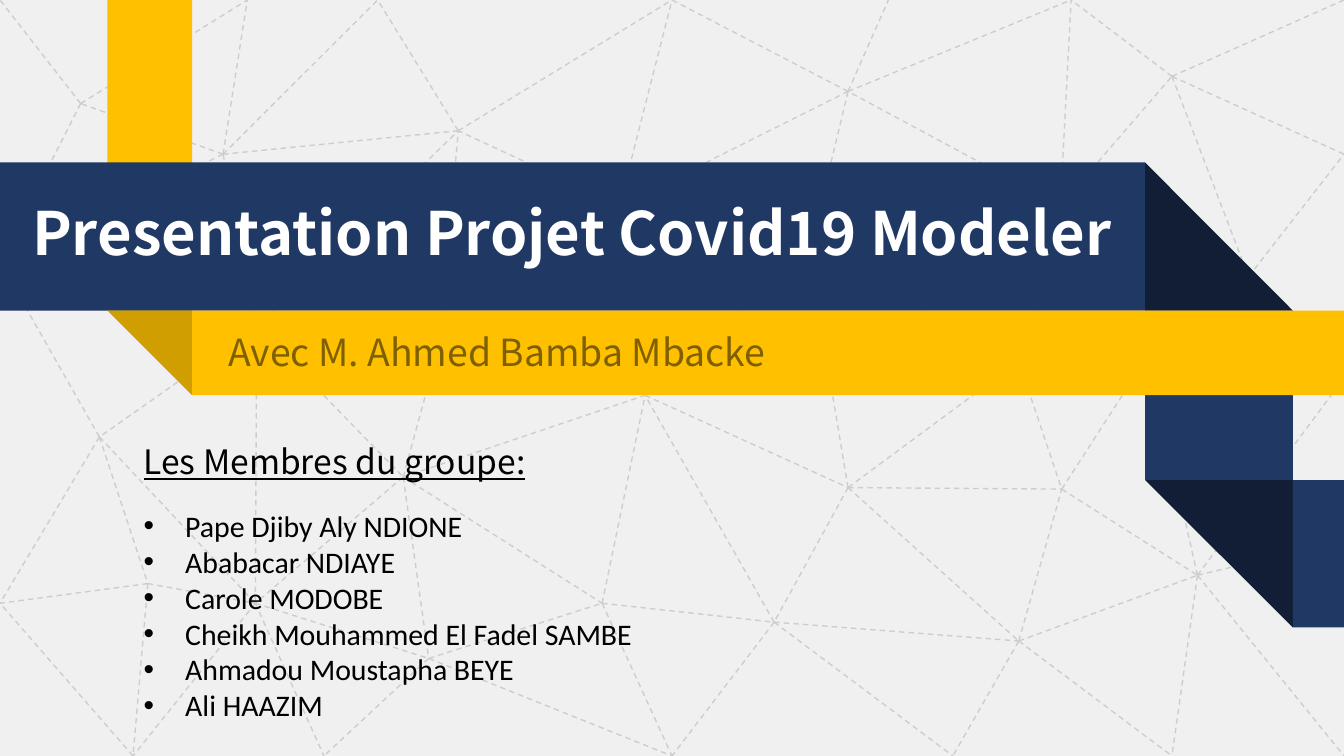
from pptx import Presentation
from pptx import util as u
from pptx.dml.color import RGBColor
from pptx.enum import dml, shapes, text
from lxml import etree

THEME = {
    "paper": "F0F0F0", "mesh": "CDCDCD", "navy": "203864", "navy_fold": "111E35",
    "gold": "FFC000", "gold_fold": "D09E00", "white": "FFFFFF", "brown": "7F6000",
    "black": "000000", "heading_font": "Noto Sans CJK SC", "body_font": "Calibri",
    "title": 32, "subtitle": 20, "heading": 18, "body": 16, "mesh_width": 0.75,
}
WIDTH, HEIGHT = u.Inches(10), u.Inches(5.625)

MEMBERS = ["Pape Djiby Aly NDIONE", "Ababacar NDIAYE", "Carole MODOBE",
           "Cheikh Mouhammed El Fadel SAMBE", "Ahmadou Moustapha BEYE", "Ali HAAZIM"]

# lines, box in percent of the slide, font, size, colour, bold, underline, wrap, bullets
TEXTS = [
    (["Presentation Projet Covid19 Modeler"], (1.4, 25, 83.5, 11.4),
     "heading_font", "title", "white", True, False, False, False),
    (["Avec M. Ahmed Bamba Mbacke"], (16, 42.7, 43.1, 7.8),
     "heading_font", "subtitle", "brown", False, False, False, False),
    (["Les Membres du groupe:"], (9.7, 57.4, 32.8, 7.1),
     "heading_font", "heading", "black", False, True, True, False),
    (MEMBERS, (9.7, 66.3, 41.5, 30.2),
     "body_font", "body", "black", False, False, True, True),
]

COLS = [0, 8, 14.3, 85.2, 96.2, 100]
ROWS = [0, 21.5, 41.1, 52.3, 63.5, 83]
BAND, FOLD = shapes.MSO_SHAPE.RECTANGLE, shapes.MSO_SHAPE.RIGHT_TRIANGLE
RIBBONS = [
    (BAND, (3, 2, 4, 4), "navy", 0),
    (FOLD, (3, 4, 4, 5), "navy_fold", 180),
    (BAND, (4, 4, 5, 5), "navy", 0),
    (BAND, (1, 0, 2, 2), "gold", 0),
    (BAND, (0, 1, 3, 2), "navy", 0),
    (FOLD, (3, 1, 4, 2), "navy_fold", 0),
    (FOLD, (1, 2, 2, 3), "gold_fold", 180),
    (BAND, (2, 2, 5, 3), "gold", 0),
]

NODES = {
    "a": (0, 0), "b": (18.4, 0), "c": (28.1, 0), "d": (50, 0),
    "e": (66.1, 0), "f": (79.7, 0), "g": (100, 0),
    "h": (6, 13.7), "i": (16.6, 20.4), "j": (34.1, 17.3), "k": (63.1, 12.1),
    "l": (87.2, 10.1), "m": (100, 20.4), "n": (0, 34.7), "o": (19.1, 43.2),
    "p": (32.7, 45.5), "q": (46.1, 27.2), "r": (60.2, 33.6), "s": (78.9, 27.2),
    "t": (92.9, 36.6), "u": (7.4, 57.8), "v": (30, 63.1), "w": (48, 52.3),
    "x": (75.8, 47.8), "y": (85.4, 47.1), "z": (100, 50),
    "A": (0, 79.8), "B": (11, 77.2), "C": (19, 79.8), "D": (31.9, 87.1),
    "E": (44.8, 79.8), "F": (57.6, 82.3), "G": (63.1, 64.5), "H": (79, 64.7),
    "I": (75.8, 84.8), "J": (89.1, 76.1), "K": (100, 71.5),
    "L": (9.9, 100), "M": (24.1, 100), "N": (50, 100),
    "O": (70.9, 100), "P": (87.2, 100), "Q": (100, 100),
}
LINKS = {
    "h": "bna", "i": "bncjoh", "j": "cd", "k": "dresf", "l": "fgmt",
    "o": "jnvCu", "p": "wjq", "q": "jdkw", "s": "klyft", "t": "myz",
    "u": "CnAB", "v": "pCDEw", "w": "rG", "x": "srH", "y": "z",
    "B": "ACL", "C": "LDM", "D": "MEN", "E": "NwF", "F": "NOIw",
    "G": "rFxHI", "H": "Jy", "I": "OHPJ", "J": "zQPyK", "L": "A",
}


def rgb(name):
    return RGBColor.from_string(THEME[name])


def point(x, y):
    return int(WIDTH * x / 100), int(HEIGHT * y / 100)


def child(parent, tag, **attrs):
    ns = "http://schemas.openxmlformats.org/drawingml/2006/main"
    return etree.SubElement(parent, f"{{{ns}}}{tag}", **attrs)


def add_mesh(s):
    edges = {frozenset((a, b)): (a, b) for a, ends in LINKS.items() for b in ends}
    for a, b in edges.values():
        c = s.shapes.add_connector(shapes.MSO_CONNECTOR.STRAIGHT,
                                   *point(*NODES[a]), *point(*NODES[b]))
        c.line.color.rgb = rgb("mesh")
        c.line.width = u.Pt(THEME["mesh_width"])
        c.line.dash_style = dml.MSO_LINE.DASH
        child(c._element.spPr, "effectLst")


def add_ribbon(s, kind, cells, color, rotation):
    c0, r0, c1, r1 = cells
    left, top = point(COLS[c0], ROWS[r0])
    right, bottom = point(COLS[c1], ROWS[r1])
    sp = s.shapes.add_shape(kind, left, top, right - left, bottom - top)
    sp.shadow.inherit = False
    sp.fill.solid()
    sp.fill.fore_color.rgb = rgb(color)
    sp.line.fill.background()
    sp.rotation = rotation


def add_text(s, lines, box, font, size, color, bold, underline, wrap, bullets):
    tf = s.shapes.add_textbox(*point(*box[:2]), *point(*box[2:])).text_frame
    tf.word_wrap = wrap
    tf.auto_size = text.MSO_AUTO_SIZE.SHAPE_TO_FIT_TEXT
    tf.text = "\n".join(lines)
    for p in tf.paragraphs:
        if bullets:
            pPr = p._p.get_or_add_pPr()
            indent = u.Inches(0.31)
            pPr.set("marL", str(indent))
            pPr.set("indent", str(-indent))
            child(child(pPr, "buClr"), "srgbClr", val=THEME[color])
            child(pPr, "buFont", typeface="Arial")
            child(pPr, "buChar", char="•")
        p.font.name = THEME[font]
        p.font.size = u.Pt(THEME[size])
        p.font.color.rgb = rgb(color)
        p.font.bold = bold
        p.font.underline = underline


def main():
    prs = Presentation()
    prs.slide_width, prs.slide_height = WIDTH, HEIGHT
    s = prs.slides.add_slide(prs.slide_layouts[6])
    s.background.fill.solid()
    s.background.fill.fore_color.rgb = rgb("paper")
    add_mesh(s)
    for ribbon in RIBBONS:
        add_ribbon(s, *ribbon)
    for item in TEXTS:
        add_text(s, *item)
    prs.save("out.pptx")


if __name__ == "__main__":
    main()
